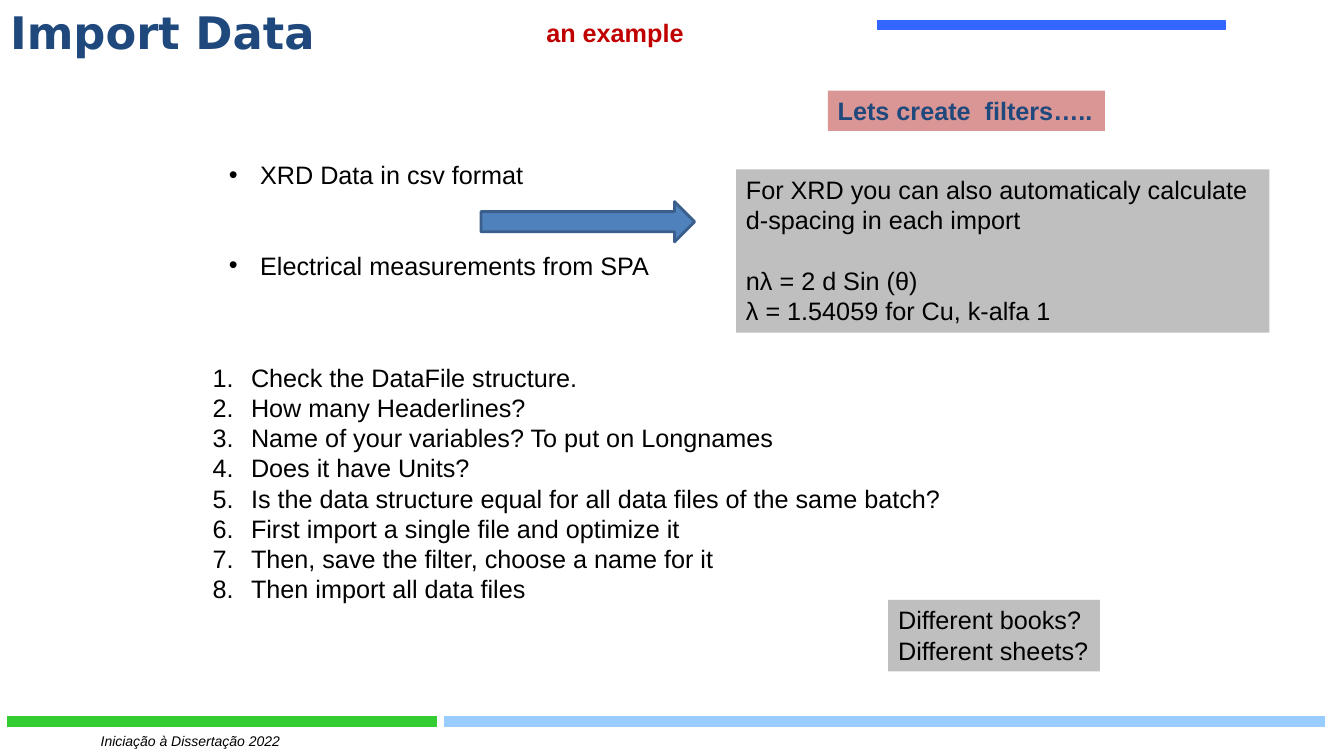
"""Build the Import Data slide with its lists, notes and colour bars."""
from pptx import Presentation
from pptx.dml.color import RGBColor
from pptx.enum.shapes import MSO_SHAPE
from pptx.enum.text import MSO_ANCHOR, MSO_AUTO_SIZE, PP_ALIGN
from pptx.oxml.ns import qn
from pptx.util import Emu, Pt
from lxml.etree import SubElement

HUES = {"sky": "99CCFF", "green": "33CC33", "blue": "3366FF", "steel": "4F81BD",
        "edge": "3A5F8C", "navy": "1F497D", "red": "C00000", "rose": "D99694",
        "grey": "BFBFBF", "black": "000000"}

TITLE = "Import Data"
SOURCES = ["XRD Data in csv format", "Electrical measurements from SPA"]
STEPS = ["Check the DataFile structure.",
         "How many Headerlines?",
         "Name of your variables? To put on Longnames",
         "Does it have Units?",
         "Is the data structure equal for all data files of the same batch?",
         "First import a single file and optimize it",
         "Then, save the filter, choose a name for it",
         "Then import all data files"]
BARS = [((441, 711, 873, 10), "sky"), ((7, 711, 426, 10), "green"),
        ((870, 20, 345, 9), "blue")]
NOTES = [
    ((90, 722, 199, 27), ["Iniciação à Dissertação 2022"], dict(size=10, slant=True)),
    ((532, 12, 158, 40), ["an example"], dict(hue="red", bold=True)),
    ((821, 90, 275, 40), ["Lets create  filters….."],
     dict(hue="navy", bold=True, fill="rose")),
    ((881, 595, 210, 71), ["Different books?", "Different sheets?"], dict(fill="grey")),
    ((730, 168, 529, 162),
     ["For XRD you can also automaticaly calculate d-spacing in each import",
      "nλ = 2 d Sin (θ)", "λ = 1.54059 for Cu, k-alfa 1"],
     dict(fill="grey", wrap=True, gaps={1: 21.6})),
]
ARROW = (477, 200, 212, 40)
PX = 9144


def color(name):
    return RGBColor.from_string(HUES[name])


def place(shape, box):
    shape.left, shape.top, shape.width, shape.height = (Emu(n * PX) for n in box)


def paint(shape, fill, edge=None, width=0.75):
    shape.fill.solid()
    shape.fill.fore_color.rgb = color(fill)
    if edge:
        shape.line.color.rgb = color(edge)
        shape.line.width = Pt(width)


def mark(para, tag, indent, **attrs):
    props = para._p.get_or_add_pPr()
    props.set("marL", str(indent * PX))
    props.set("indent", str(-indent * PX))
    SubElement(props, qn("a:buFont"), typeface="Arial")
    SubElement(props, qn(tag), **attrs)


def write(shape, lines, size=18, font="Arial", hue="black", bold=False,
          slant=False, wrap=False, fill=None, gaps={}):
    frame = shape.text_frame
    frame.auto_size = MSO_AUTO_SIZE.NONE
    frame.word_wrap = wrap
    frame.vertical_anchor = MSO_ANCHOR.TOP
    frame.text = "\n".join(lines)
    if fill:
        paint(shape, fill)
    for i, para in enumerate(frame.paragraphs):
        para.alignment = PP_ALIGN.LEFT
        para.line_spacing = 1.0
        para.space_before = Pt(gaps.get(i, 0))
        face = para.runs[0].font
        face.size, face.name = Pt(size), font
        face.bold, face.italic = bold, slant
        face.color.rgb = color(hue)
    return frame.paragraphs


deck = Presentation()
deck.slide_width, deck.slide_height = Emu(1333 * PX), Emu(750 * PX)
slide = deck.slides.add_slide(deck.slide_layouts[3])
shapes = slide.shapes
title, media, steps = slide.placeholders

for box, hue in BARS:
    bar = shapes.add_shape(MSO_SHAPE.RECTANGLE, 0, 0, 0, 0)
    place(bar, box)
    bar.shadow.inherit = False
    paint(bar, hue, hue)

place(title, (0, 0, 330, 64))
write(title, [TITLE], size=32, font="DejaVu Sans", hue="navy", bold=True)

place(media, (217, 153, 441, 131))
for para in write(media, SOURCES, gaps={1: 43.2}):
    mark(para, "a:buChar", 31, char="•")

place(steps, (201, 354, 748, 252))
for para in write(steps, STEPS):
    mark(para, "a:buAutoNum", 38, type="arabicPeriod")

for box, lines, look in NOTES:
    note = shapes.add_textbox(0, 0, 0, 0)
    place(note, box)
    write(note, lines, **look)

arrow = shapes.add_shape(MSO_SHAPE.RIGHT_ARROW, 0, 0, 0, 0)
place(arrow, ARROW)
arrow.shadow.inherit = False
paint(arrow, "steel", "edge", 2)

deck.save("out.pptx")
